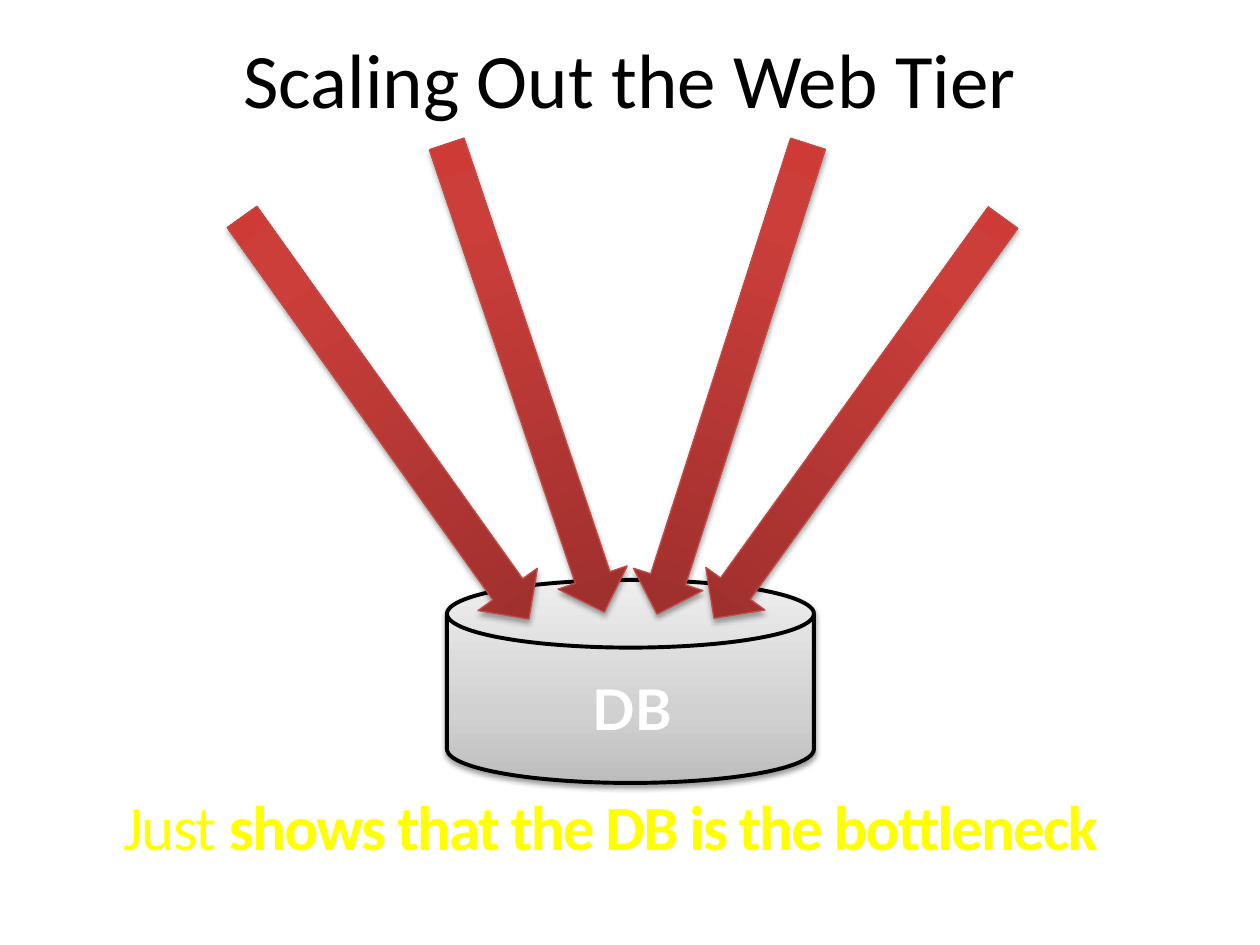
from lxml import etree
from pptx import Presentation
from pptx.dml.color import RGBColor
from pptx.enum.shapes import MSO_SHAPE
from pptx.enum.text import MSO_ANCHOR, PP_ALIGN
from pptx.oxml.ns import qn
from pptx.util import Emu, Pt

DISK = MSO_SHAPE.FLOWCHART_MAGNETIC_DISK
DOWN_ARROW = MSO_SHAPE.DOWN_ARROW
LEFT, CENTER = PP_ALIGN.LEFT, PP_ALIGN.CENTER
TOP, MIDDLE = MSO_ANCHOR.TOP, MSO_ANCHOR.MIDDLE

EMU_PER_PX = 914400 / 126
COLORS = {
    "black": "000000", "white": "FFFFFF", "yellow": "FFFF00",
    "gray_dark": "BDBDBD", "gray_mid": "D1D1D1", "gray_light": "EEEEEE",
    "red_dark": "9C2F2D", "red_mid": "CB3E3A", "red_light": "CE3B37",
    "red_edge": "BF4C48",
}
DISK_STOPS = [(0, "gray_dark"), (35, "gray_mid"), (100, "gray_light")]
ARROW_STOPS = [(0, "red_dark"), (80, "red_mid"), (100, "red_light")]


def px(length):
    return Emu(round(length * EMU_PER_PX))


def add_child(parent, tag, **attributes):
    return etree.SubElement(parent, qn(tag), {k: str(v) for k, v in attributes.items()})


class SlideBuilder:
    def __init__(self, slide, font="Calibri"):
        self.slide = slide
        self.font = font

    def text(self, text, box, size, color, font=None, bold=False, spacing=0,
             align=LEFT, anchor=TOP):
        """Add a text box; parts of the text between ** marks are toggled bold."""
        frame = self.slide.shapes.add_textbox(*map(px, box)).text_frame
        frame.word_wrap = True
        frame.vertical_anchor = anchor
        paragraph = frame.paragraphs[0]
        paragraph.alignment = align
        for index, part in enumerate(text.split("**")):
            if not part:
                continue
            run = paragraph.add_run()
            run.text = part
            run.font.name = font or self.font
            run.font.size = Pt(size)
            run.font.bold = bold or index % 2 == 1
            run.font.color.rgb = RGBColor.from_string(COLORS[color])
            if spacing:
                run.font._element.set("spc", str(round(spacing * 100)))

    def shape(self, kind, box, stops, edge, edge_width, shadow_alpha,
              shadow_distance, rotation=0):
        shape = self.slide.shapes.add_shape(kind, *map(px, box))
        shape.rotation = rotation
        shape.line.color.rgb = RGBColor.from_string(COLORS[edge])
        shape.line.width = Pt(edge_width)
        self.gradient(shape, stops)
        self.shadow(shape, shadow_alpha, shadow_distance)

    def gradient(self, shape, stops):
        """Fill the shape with stops that run from its bottom to its top."""
        shape.fill.gradient()
        shape.fill.gradient_angle = 90
        stop_list = shape.fill._xPr.find(qn("a:gradFill")).find(qn("a:gsLst"))
        for old_stop in list(stop_list):
            stop_list.remove(old_stop)
        for position, color in stops:
            stop = add_child(stop_list, "a:gs", pos=position * 1000)
            add_child(stop, "a:srgbClr", val=COLORS[color])

    def shadow(self, shape, alpha, distance):
        shape.shadow.inherit = False
        effects = shape._element.spPr.find(qn("a:effectLst"))
        outer = add_child(effects, "a:outerShdw", blurRad=Pt(3.1), dist=Pt(distance),
                          dir=90 * 60000, rotWithShape=0)
        color = add_child(outer, "a:srgbClr", val=COLORS["black"])
        add_child(color, "a:alpha", val=alpha * 1000)

    def database(self, box):
        self.shape(DISK, box, DISK_STOPS, "black", 2.25, 38, 1.6)

    def request_arrow(self, left, top, rotation):
        self.shape(DOWN_ARROW, (left, top, 73, 494), ARROW_STOPS, "red_edge", 0.75,
                   35, 1.8, rotation)


def main():
    deck = Presentation()
    deck.slide_width, deck.slide_height = px(1260), px(945)
    builder = SlideBuilder(deck.slides.add_slide(deck.slide_layouts[6]))

    builder.database((447, 580, 367, 203))
    builder.text("DB", (548, 668, 168, 81), 32, "white", font="Lato", bold=True,
                 align=CENTER)
    for left, top, rotation in [(349, 171, 324.5), (822, 171, 35.8),
                                (489, 131, 341.4), (696, 132, 17.8)]:
        builder.request_arrow(left, top, rotation)
    builder.text("Just **shows that the DB is the bottleneck", (111, 781, 1040, 105),
                 36, "yellow", spacing=-1)
    builder.text("Scaling Out the Web Tier", (53, 32, 1154, 92), 44, "black",
                 align=CENTER, anchor=MIDDLE)

    deck.save("out.pptx")


if __name__ == "__main__":
    main()
